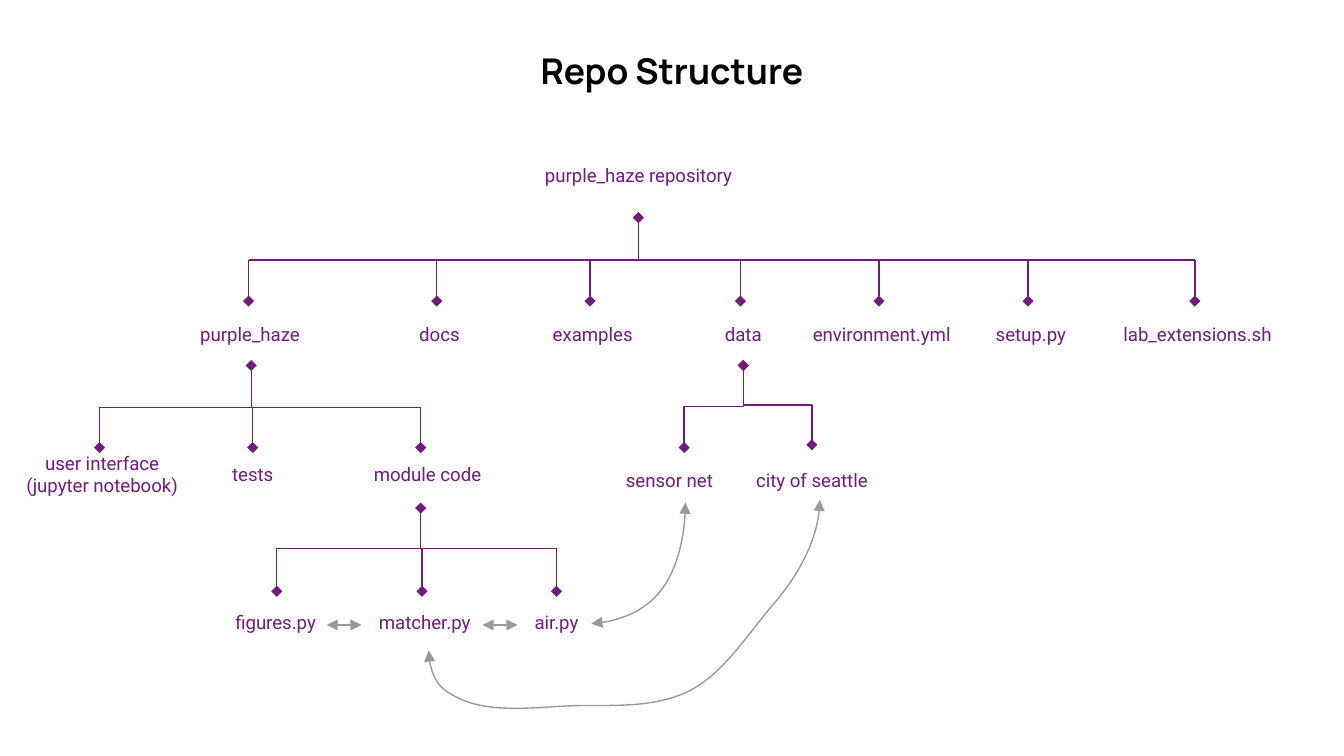
"""Build the Repo Structure slide: a file tree with links between modules and data."""
import lxml.etree
import pptx
import pptx.dml.color
import pptx.enum.shapes
import pptx.enum.text
import pptx.oxml.ns
import pptx.util

Pt = pptx.util.Pt
qn = pptx.oxml.ns.qn
Kind = pptx.enum.shapes.MSO_CONNECTOR
Anchor = pptx.enum.text.MSO_ANCHOR
PURPLE = pptx.dml.color.RGBColor(0x70, 0x1C, 0x7F)
GRAY = pptx.dml.color.RGBColor(0x99, 0x99, 0x99)
BLACK = pptx.dml.color.RGBColor(0, 0, 0)

TITLE = "Repo Structure"
ROOT = ("purple_haze repository", 342, 93.6)
TREES = [
    {"stem": (342, 116.6), "bus": 139.3, "foot": 161.3, "mid": 179.1, "kids": [
        ("purple_haze", 133.9, 133.2), ("docs", 235.4, 234),
        ("examples", 317.5, 316.1), ("data", 398.2, 396.7),
        ("environment.yml", 472.3, 470.9), ("setup.py", 552.2, 550.8),
        ("lab_extensions.sh", 641.5, 640.1)]},
    {"stem": (134.6, 195.8), "bus": 218.2, "foot": 239.8, "mid": 253.8, "kids": [
        ("user interface\n(jupyter notebook)", 54.7, 53.3),
        ("tests", 135.4, 135.4), ("module code", 229, 225.4)]},
    {"stem": (225.4, 272.2), "bus": 293.8, "foot": 316.8, "mid": 333.4, "kids": [
        ("figures.py", 147.6, 148.3), ("matcher.py", 227.5, 226.1),
        ("air.py", 298.1, 298.1)]},
]
FORK = (398.2, 195.8)
FORKS = [("sensor net", 358.6, 366.5, 239.8), ("city of seattle", 434.9, 434.9, 238.3)]
FORK_MID = 257
LINKS = [(175, 193.7), (258.5, 277.2)]
LINK_Y = 334.8
CURVES = [
    ((316.8, 334.1), [
        ((329, 333.4), (342, 329), (350.6, 320.4)),
        ((362.9, 308.2), (367.2, 287.3), (367.2, 269.3))]),
    ((229.7, 348.5), [
        ((229.7, 356.4), (232.6, 366.5), (239.8, 370.8)),
        ((259.9, 384.5), (288.7, 378), (313.2, 378)),
        ((332.6, 378), (353.5, 378.7), (370.8, 369.4)),
        ((388.8, 359.3), (401, 339.1), (414.7, 323.3)),
        ((427.7, 308.2), (439.2, 288), (439.2, 267.8))]),
]
BOX_W, BOX_H = 121, 46
STEPS = 16
FRAME = {"word_wrap": True, "margin_left": Pt(7.2), "margin_right": Pt(7.2),
         "margin_top": Pt(7.2), "margin_bottom": Pt(7.2)}
LABEL = {"name": "Roboto", "size": Pt(10), "bold": False}
HEAD = {"name": "Manrope", "size": Pt(19), "bold": True}


def apply(item, values):
    for key, value in values.items():
        setattr(item, key, value)


def write(shape, text, font, color, anchor):
    frame = shape.text_frame
    apply(frame, FRAME)
    frame.vertical_anchor = anchor
    frame.text = text
    for para in frame.paragraphs:
        para.alignment = pptx.enum.text.PP_ALIGN.CENTER
        apply(para.runs[0].font, font)
        para.runs[0].font.color.rgb = color


def label(text, mid_x, mid_y):
    box = slide.shapes.add_textbox(
        Pt(mid_x - BOX_W / 2), Pt(mid_y - BOX_H / 2), Pt(BOX_W), Pt(BOX_H))
    write(box, text, LABEL, PURPLE, Anchor.MIDDLE)


def stroke(shape, color, **ends):
    shape.line.color.rgb = color
    shape.line.width = Pt(0.75)
    line = shape._element.spPr.find(qn("a:ln"))
    for end in ("head", "tail"):
        if end in ends:
            lxml.etree.SubElement(line, qn(f"a:{end}End"), type=ends[end])


def join(start, stop, color=PURPLE, kind=Kind.STRAIGHT, **ends):
    line = slide.shapes.add_connector(kind, *map(Pt, (*start, *stop)))
    stroke(line, color, **ends)
    lxml.etree.SubElement(line._element.spPr, qn("a:effectLst"))
    return line


def fork(start, stop):
    mid_x, mid_y = (start[0] + stop[0]) / 2, (start[1] + stop[1]) / 2
    side = 1 if stop[0] > start[0] else -1
    half_w, half_h = side * (stop[1] - start[1]) / 2, abs(stop[0] - start[0]) / 2
    line = join((mid_x + half_w, mid_y - half_h), (mid_x - half_w, mid_y + half_h),
                kind=Kind.ELBOW, head="diamond", tail="diamond")
    turn = 270 if side > 0 else 90
    line._element.spPr.find(qn("a:xfrm")).set("rot", str(turn * 60000))


def bend(start, parts):
    dots = []
    last = start
    for one, two, end in parts:
        for step in range(1, STEPS + 1):
            t = step / STEPS
            u = 1 - t
            dots.append(tuple(
                Pt(u**3 * a + 3 * u * u * t * b + 3 * u * t * t * c + t**3 * d)
                for a, b, c, d in zip(last, one, two, end)))
        last = end
    path = slide.shapes.build_freeform(Pt(start[0]), Pt(start[1]))
    path.add_line_segments(dots, close=False)
    curve = path.convert_to_shape()
    curve.fill.background()
    stroke(curve, GRAY, head="triangle", tail="triangle")
    curve.shadow.inherit = False


deck = pptx.Presentation()
apply(deck, {"slide_width": Pt(720), "slide_height": Pt(405)})
slide = deck.slides.add_slide(deck.slide_layouts[5])
title = slide.shapes.title
apply(title, {"left": Pt(24.5), "top": Pt(19), "width": Pt(671), "height": Pt(42.5)})
write(title, TITLE, HEAD, BLACK, Anchor.TOP)

label(*ROOT)
for tree in TREES:
    stem, bus, kids = tree["stem"], tree["bus"], tree["kids"]
    join((kids[0][2], bus), (kids[-1][2], bus))
    join(stem, (stem[0], bus), head="diamond")
    for text, mid, x in kids:
        join((x, bus), (x, tree["foot"]), tail="diamond")
        label(text, mid, tree["mid"])
for text, mid, x, foot in FORKS:
    fork(FORK, (x, foot))
    label(text, mid, FORK_MID)
for left, right in LINKS:
    join((left, LINK_Y), (right, LINK_Y), GRAY, head="triangle", tail="triangle")
for start, parts in CURVES:
    bend(start, parts)

deck.save("out.pptx")
